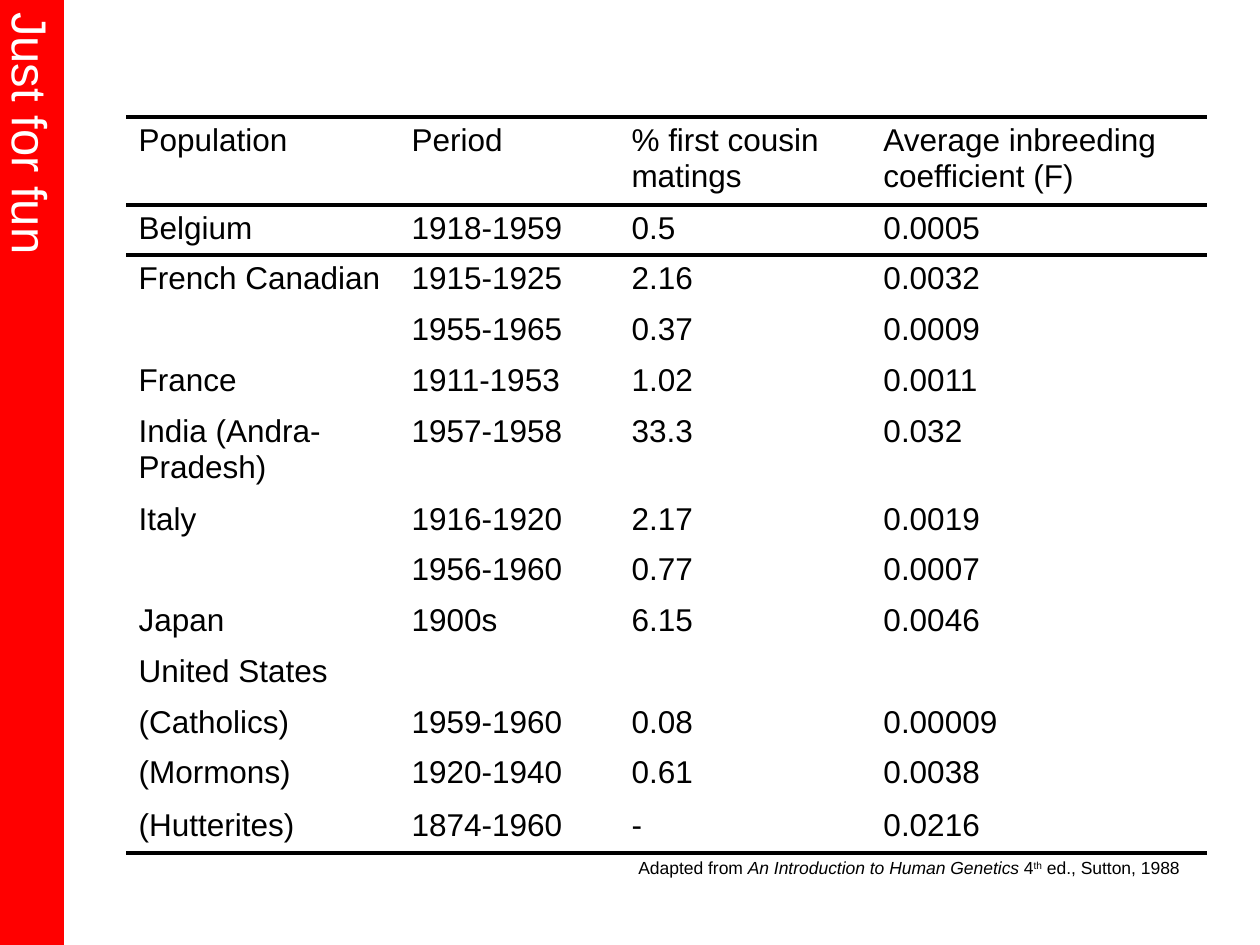
from lxml.etree import SubElement
from pptx import Presentation
from pptx.dml.color import RGBColor
from pptx.enum.shapes import MSO_SHAPE
from pptx.enum.text import MSO_ANCHOR, MSO_AUTO_SIZE, PP_ALIGN
from pptx.oxml.ns import qn
from pptx.util import Inches, Pt

BLACK = RGBColor(0, 0, 0)
WHITE = RGBColor(255, 255, 255)
RED = RGBColor(255, 0, 0)
FONT = "Arial"
NO_STYLE_NO_GRID = "{2D5ABB26-0587-4C30-8999-92F81FD0307C}"
SCALE = Inches(1) // 126

SLIDE_SIZE = (1260, 945)
BANNER_TEXT = "Just for fun"
BANNER_BOX = (0, 0, 63, 945)
CREDIT_BOX = (626, 851, 571, 34)
CREDIT = [
    ("Adapted from ", {}),
    ("An Introduction to Human Genetics", {"italic": True}),
    (" 4", {}),
    ("th", {"baseline": 30000}),
    (" ed., Sutton, 1988", {}),
]

TABLE_LEFT, TABLE_TOP = 126, 117
COLUMN_WIDTHS = [273, 220, 252, 336]
# Each row: height, then its cells
ROWS = [
    (88, ("Population", "Period", "% first cousin matings",
          "Average inbreeding coefficient (F)")),
    (50, ("Belgium", "1918-1959", "0.5", "0.0005")),
    (51, ("French Canadian", "1915-1925", "2.16", "0.0032")),
    (50, ("", "1955-1965", "0.37", "0.0009")),
    (51, ("France", "1911-1953", "1.02", "0.0011")),
    (88, ("India (Andra-Pradesh)", "1957-1958", "33.3", "0.032")),
    (50, ("Italy", "1916-1920", "2.17", "0.0019")),
    (50, ("", "1956-1960", "0.77", "0.0007")),
    (51, ("Japan", "1900s", "6.15", "0.0046")),
    (50, ("United States", "", "", "")),
    (50, ("(Catholics)", "1959-1960", "0.08", "0.00009")),
    (53, ("(Mormons)", "1920-1940", "0.61", "0.0038")),
    (51, ("(Hutterites)", "1874-1960", "-", "0.0216")),
]
# Row index to the sides that carry a rule
RULES = {0: ("lnT", "lnB"), 1: ("lnT",), len(ROWS) - 1: ("lnB",)}


def emu(lengths):
    return [length * SCALE for length in lengths]


def add_run(paragraph, text, size, color, italic=False, baseline=0):
    run = paragraph.add_run()
    run.text = text
    run.font.name = FONT
    run.font.size = Pt(size)
    run.font.color.rgb = color
    run.font.italic = italic
    if baseline:
        run.font._element.set("baseline", str(baseline))


def add_rule(cell, side):
    line = SubElement(cell._tc.get_or_add_tcPr(), qn(f"a:{side}"), w=str(Pt(2.25)))
    fill = SubElement(line, qn("a:solidFill"))
    SubElement(fill, qn("a:srgbClr"), val=str(BLACK))


def fill_cell(cell, text, sides):
    for side in sides:
        add_rule(cell, side)
    cell.fill.background()
    if text:
        paragraph = cell.text_frame.paragraphs[0]
        spacing = SubElement(paragraph._p.get_or_add_pPr(), qn("a:spcBef"))
        SubElement(spacing, qn("a:spcPct"), val="20000")
        add_run(paragraph, text, 18, BLACK)


def add_population_table(slide):
    heights = [height for height, _ in ROWS]
    box = emu((TABLE_LEFT, TABLE_TOP, sum(COLUMN_WIDTHS), sum(heights)))
    table = slide.shapes.add_table(len(ROWS), len(COLUMN_WIDTHS), *box).table
    table.first_row = table.horz_banding = False
    table._tbl.tblPr.find(qn("a:tableStyleId")).text = NO_STYLE_NO_GRID
    for column, width in zip(table.columns, emu(COLUMN_WIDTHS)):
        column.width = width
    for row, height in zip(table.rows, emu(heights)):
        row.height = height
    for row_index, (_, texts) in enumerate(ROWS):
        for column_index, text in enumerate(texts):
            fill_cell(table.cell(row_index, column_index), text,
                      RULES.get(row_index, ()))


def add_credit(slide):
    frame = slide.shapes.add_textbox(*emu(CREDIT_BOX)).text_frame
    frame.word_wrap = False
    frame.auto_size = MSO_AUTO_SIZE.SHAPE_TO_FIT_TEXT
    for text, style in CREDIT:
        add_run(frame.paragraphs[0], text, 10, BLACK, **style)


def add_banner(slide):
    banner = slide.shapes.add_shape(MSO_SHAPE.RECTANGLE, *emu(BANNER_BOX))
    banner.shadow.inherit = False
    banner.fill.solid()
    banner.fill.fore_color.rgb = RED
    banner.line.color.rgb = RED
    banner.line.width = Pt(0.75)
    frame = banner.text_frame
    frame.word_wrap = False
    frame.vertical_anchor = MSO_ANCHOR.MIDDLE
    frame._txBody.bodyPr.set("vert", "eaVert")
    frame.paragraphs[0].alignment = PP_ALIGN.CENTER
    add_run(frame.paragraphs[0], BANNER_TEXT, 28, WHITE)


def main():
    presentation = Presentation()
    presentation.slide_width, presentation.slide_height = emu(SLIDE_SIZE)
    slide = presentation.slides.add_slide(presentation.slide_layouts[6])
    add_population_table(slide)
    add_credit(slide)
    add_banner(slide)
    presentation.save("out.pptx")


if __name__ == "__main__":
    main()
